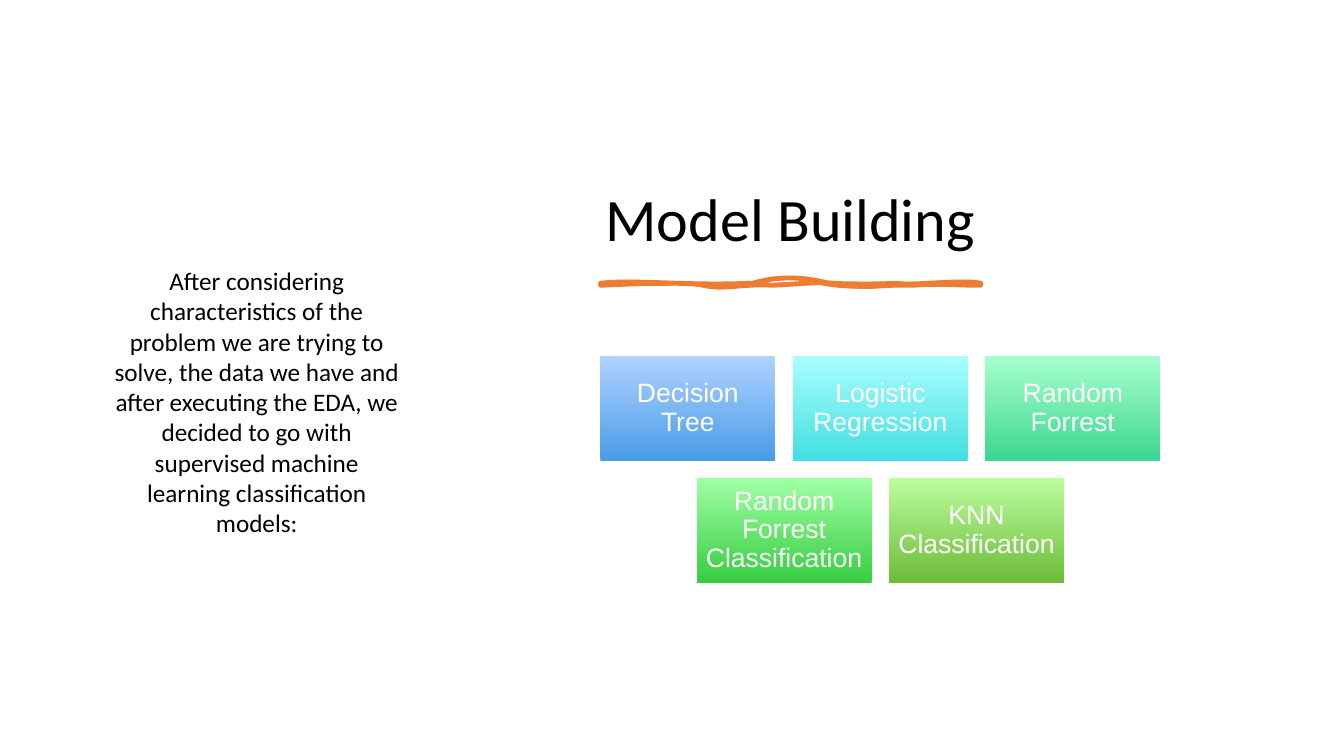
"""Builds the Model Building slide with its list of classification models."""
from lxml import etree
from pptx import Presentation
from pptx import util as u
from pptx.dml.color import RGBColor
from pptx.enum import shapes, text
from pptx.oxml import ns

TITLE = "Model Building"
INTRO = ("After considering characteristics of the problem we are trying to solve, "
         "the data we have and after executing the EDA, we decided to go with "
         "supervised machine learning classification models:")
MODEL_ROWS = [
    [("Decision Tree", RGBColor(0x49, 0x9C, 0xE7), RGBColor(0xAF, 0xD2, 0xFF)),
     ("Logistic Regression", RGBColor(0x42, 0xDE, 0xDF), RGBColor(0xAA, 0xFE, 0xFF)),
     ("Random Forrest", RGBColor(0x3C, 0xD6, 0x8F), RGBColor(0xA5, 0xFF, 0xCC))],
    [("Random Forrest Classification", RGBColor(0x36, 0xCD, 0x40), RGBColor(0xA0, 0xFF, 0xA4)),
     ("KNN Classification", RGBColor(0x6D, 0xBC, 0x38), RGBColor(0xBA, 0xFD, 0x9D))],
]
BLACK = RGBColor(0, 0, 0)
WHITE = RGBColor(0xFF, 0xFF, 0xFF)
ORANGE = RGBColor(0xED, 0x7D, 0x31)

STROKE_UNIT = u.Cm(0.0254)
STROKE_LEFT, STROKE_RIGHT = 596, 973
FILLED_STROKE = [
    (596, 281), (608, 279), (637, 283), (664, 281), (691, 282), (712, 280), (728, 281),
    (749, 284), (778, 284), (796, 281), (811, 282), (849, 284), (871, 281),
    (900, 286), (922, 275), (973, 281), (973, 282), (973, 283), (973, 283),
    (939, 277), (920, 283), (897, 283), (876, 286), (845, 289), (815, 283),
    (783, 279), (766, 280), (750, 283), (738, 285), (684, 281), (668, 283),
    (652, 285), (619, 282), (596, 283), (596, 283), (596, 282), (596, 281)]
OUTLINED_STROKE = [
    (596, 281), (613, 279), (640, 280), (671, 281), (703, 282), (718, 282), (747, 281),
    (774, 273), (799, 275), (822, 281), (846, 282), (873, 282), (890, 281),
    (904, 284), (954, 277), (973, 281), (973, 282), (973, 282), (973, 283),
    (947, 283), (933, 281), (905, 283), (876, 282), (868, 286), (841, 283),
    (817, 278), (795, 282), (766, 283), (738, 281), (718, 288), (698, 283),
    (679, 279), (618, 282), (596, 283), (596, 283), (596, 282), (596, 281)]

LEFT = 15.13
BOX_TOP, BOX_WIDTH, BOX_HEIGHT = 8.97, 4.41, 2.65
COLUMN_PITCH, ROW_PITCH = 4.85, 3.07


def write(shape, content, font, size, color, inset=0.13, anchor=text.MSO_ANCHOR.TOP,
          align=text.PP_ALIGN.CENTER, line_spacing=1.0, before=0):
    frame = shape.text_frame
    frame.word_wrap = True
    frame.vertical_anchor = anchor
    frame.margin_left = frame.margin_right = u.Cm(inset)
    frame.margin_top = frame.margin_bottom = u.Cm(inset)
    paragraph = frame.paragraphs[0]
    paragraph.alignment = align
    paragraph.line_spacing = line_spacing
    paragraph.space_before = u.Pt(before)
    run = paragraph.add_run()
    run.text = content
    run.font.name = font
    run.font.size = u.Pt(size)
    run.font.color.rgb = color


def add_text(slide, left, top, width, height, content, **style):
    box = slide.shapes.add_textbox(u.Cm(left), u.Cm(top), u.Cm(width), u.Cm(height))
    write(box, content, **style)


def add_stroke(slide, points, top, bottom):
    builder = slide.shapes.build_freeform(STROKE_LEFT, top, scale=STROKE_UNIT)
    builder.add_line_segments([(STROKE_RIGHT, bottom)], close=True)
    stroke = builder.convert_to_shape()
    stroke.shadow.inherit = False
    outline = next(stroke.element.iter(ns.qn("a:path")))
    for child in list(outline):
        outline.remove(child)
    curves = [points[start:start + 3] for start in range(1, len(points), 3)]
    for tag, group in [("a:moveTo", points[:1])] + [("a:cubicBezTo", c) for c in curves]:
        command = etree.SubElement(outline, ns.qn(tag))
        for x, y in group:
            etree.SubElement(command, ns.qn("a:pt"), x=str(x - STROKE_LEFT), y=str(y - top))
    etree.SubElement(outline, ns.qn("a:close"))
    outline.set("w", str(STROKE_RIGHT - STROKE_LEFT))
    outline.set("h", str(bottom - top))
    return stroke


def add_model(slide, left, top, name, bottom_color, top_color):
    box = slide.shapes.add_shape(shapes.MSO_SHAPE.RECTANGLE, u.Cm(left), u.Cm(top),
                                 u.Cm(BOX_WIDTH), u.Cm(BOX_HEIGHT))
    box.shadow.inherit = False
    box.line.fill.background()
    box.fill.gradient()
    box.fill.gradient_angle = 90
    for stop, color, position in zip(box.fill.gradient_stops, (bottom_color, top_color), (0, 1)):
        stop.color.rgb = color
        stop.position = position
    write(box, name, font="Arial", size=19, color=WHITE, inset=0.19,
          anchor=text.MSO_ANCHOR.MIDDLE, line_spacing=0.9, before=7)


def main():
    presentation = Presentation()
    presentation.slide_width, presentation.slide_height = u.Cm(33.87), u.Cm(19.05)
    slide = presentation.slides.add_slide(presentation.slide_layouts[6])

    add_text(slide, LEFT, 2.54, 14.1, 4.01, TITLE, font="Calibri", size=43, color=BLACK,
             anchor=text.MSO_ANCHOR.BOTTOM, align=text.PP_ALIGN.LEFT, line_spacing=0.9)

    filled = add_stroke(slide, FILLED_STROKE, top=279, bottom=286)
    filled.fill.solid()
    filled.fill.fore_color.rgb = ORANGE
    filled.line.fill.background()
    outlined = add_stroke(slide, OUTLINED_STROKE, top=276, bottom=285)
    outlined.fill.background()
    outlined.line.color.rgb = ORANGE
    outlined.line.width = u.Pt(3.5)

    for row, models in enumerate(MODEL_ROWS):
        indent = (len(MODEL_ROWS[0]) - len(models)) * COLUMN_PITCH / 2
        for column, model in enumerate(models):
            add_model(slide, LEFT + indent + column * COLUMN_PITCH,
                      BOX_TOP + row * ROW_PITCH, *model)

    add_text(slide, 2.71, 6.56, 7.52, 6.91, INTRO, font="Calibri", size=18, color=BLACK,
             before=6)
    presentation.save("out.pptx")


if __name__ == "__main__":
    main()
